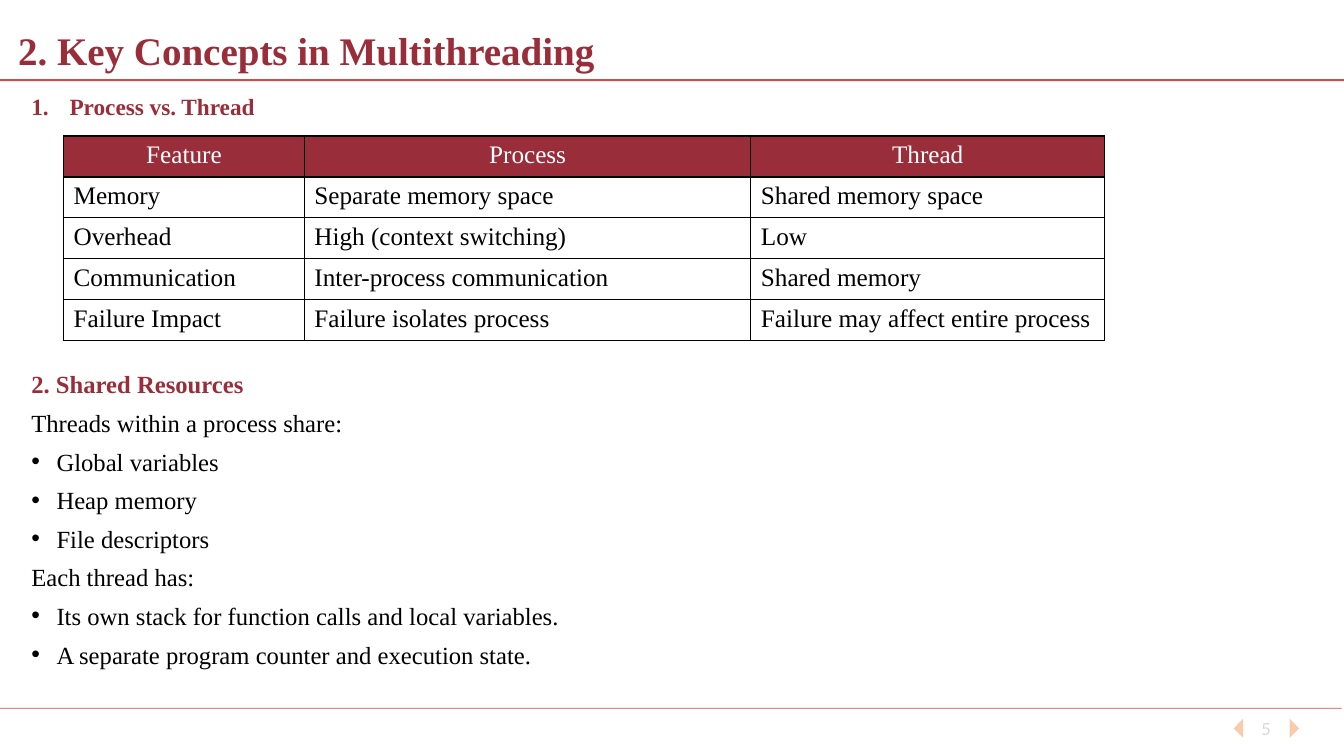
from lxml import etree
from pptx import Presentation, util as u
from pptx.dml.color import RGBColor
from pptx.enum import shapes, text
from pptx.oxml import ns

WIDTH, HEIGHT = u.Inches(13.333), u.Inches(7.5)
MAROON = RGBColor(0x99, 0x2E, 0x3A)
RED = RGBColor(0xC0, 0x00, 0x00)
PEACH = RGBColor(0xF8, 0xCB, 0xAD)
GREY = RGBColor(0xD9, 0xD9, 0xD9)
BLACK = RGBColor(0x00, 0x00, 0x00)
WHITE = RGBColor(0xFF, 0xFF, 0xFF)
SERIF = "Times New Roman"

COLUMN_SHARES = (17.92, 33.22, 26.33)
ROW_SHARE = 5.41
FEATURES = (
    ("Feature", "Process", "Thread"),
    ("Memory", "Separate memory space", "Shared memory space"),
    ("Overhead", "High (context switching)", "Low"),
    ("Communication", "Inter-process communication", "Shared memory"),
    ("Failure Impact", "Failure isolates process", "Failure may affect entire process"),
)
# Kind and wording of each body paragraph
BODY = (
    ("numbered", "Process vs. Thread"),
    ("heading", "2. Shared Resources"),
    ("plain", "Threads within a process share:"),
    ("bullet", "Global variables"),
    ("bullet", "Heap memory"),
    ("bullet", "File descriptors"),
    ("plain", "Each thread has:"),
    ("bullet", "Its own stack for function calls and local variables."),
    ("bullet", "A separate program counter and execution state."),
)
HANGING = {"numbered": 0.38, "bullet": 0.25}
TABLE_GAP = 182  # points kept free for the table above the second heading


def across(percent):
    return round(WIDTH * percent / 100)


def down(percent):
    return round(HEIGHT * percent / 100)


def place(shape, left, top, width, height):
    """Set a shape's box in percent of the slide's size."""
    shape.left, shape.top = across(left), down(top)
    shape.width, shape.height = across(width), down(height)


def add_element(parent, tag, **attributes):
    return etree.SubElement(parent, ns.qn(tag), attributes)


def set_font(paragraph, size, color, bold=False, name=SERIF):
    font = paragraph.font
    font.name, font.size, font.bold = name, u.Pt(size), bold
    font.color.rgb = color


def set_list_mark(paragraph, kind):
    properties = paragraph._p.get_or_add_pPr()
    hanging = u.Inches(HANGING.get(kind, 0))
    properties.set("marL", str(hanging))
    properties.set("indent", str(-hanging))
    if kind == "numbered":
        mark = add_element(properties, "a:buAutoNum", type="arabicPeriod")
    elif kind == "bullet":
        font = add_element(properties, "a:buFont", typeface="Arial")
        mark = add_element(properties, "a:buChar", char="•")
        font.addnext(mark)
    else:
        add_element(properties, "a:buNone")


def fill_title(title):
    place(title, 0.6, 3.07, 91.35, 7.73)
    frame = title.text_frame
    frame.text = "2. Key Concepts in Multithreading"
    frame.auto_size = text.MSO_AUTO_SIZE.NONE
    frame.vertical_anchor = text.MSO_ANCHOR.MIDDLE
    paragraph = frame.paragraphs[0]
    paragraph.alignment = text.PP_ALIGN.LEFT
    paragraph.line_spacing = 0.9
    set_font(paragraph, 27.9, MAROON, bold=True)


def fill_body(body):
    place(body, 1.58, 12.27, 96.53, 79.6)
    frame = body.text_frame
    frame.text = "\n".join(wording for kind, wording in BODY)
    frame.auto_size = text.MSO_AUTO_SIZE.NONE
    frame.vertical_anchor = text.MSO_ANCHOR.TOP
    space_before = {"numbered": 0, "heading": TABLE_GAP}
    for paragraph, (kind, wording) in zip(frame.paragraphs, BODY):
        paragraph.line_spacing = 0.8
        paragraph.space_before = u.Pt(space_before.get(kind, 10.7))
        set_list_mark(paragraph, kind)
        heading = kind in ("numbered", "heading")
        size = 16.6 if kind == "numbered" else 17.6
        set_font(paragraph, size, MAROON if heading else BLACK, bold=heading)


def add_borders(cell):
    properties = cell._tc.get_or_add_tcPr()
    for side in ("a:lnL", "a:lnR", "a:lnT", "a:lnB"):
        border = add_element(properties, side, w=str(u.Pt(1)))
        add_element(add_element(border, "a:solidFill"), "a:srgbClr", val=str(BLACK))


def add_feature_table(slide):
    table = slide.shapes.add_table(
        len(FEATURES), len(COLUMN_SHARES), across(4.73), down(18),
        across(sum(COLUMN_SHARES)), down(ROW_SHARE * len(FEATURES))).table
    table.first_row = table.horz_banding = False
    for column, share in zip(table.columns, COLUMN_SHARES):
        column.width = across(share)
    for row_number, (row, wordings) in enumerate(zip(table.rows, FEATURES)):
        row.height = down(ROW_SHARE)
        header = row_number == 0
        for cell, wording in zip(row.cells, wordings):
            cell.text = wording
            add_borders(cell)
            paragraph = cell.text_frame.paragraphs[0]
            set_font(paragraph, 18, WHITE if header else BLACK)
            if header:
                paragraph.alignment = text.PP_ALIGN.CENTER
                cell.fill.solid()
                cell.fill.fore_color.rgb = MAROON
            else:
                cell.fill.background()


def add_rule(slide, top, right, weight):
    """Draw a translucent red line from the slide's left edge."""
    rule = slide.shapes.add_connector(
        shapes.MSO_CONNECTOR.STRAIGHT, 0, down(top), across(right), down(top))
    rule.line.width = u.Pt(weight)
    rule.line.color.rgb = RED
    properties = rule._element.spPr
    color = properties.find(".//" + ns.qn("a:srgbClr"))
    add_element(color, "a:alpha", val="70000")
    add_element(properties, "a:effectLst")


def add_pager_arrow(slide, base, tip):
    builder = slide.shapes.build_freeform(across(base), down(95.05))
    builder.add_line_segments([(across(tip), down(96.35)), (across(base), down(97.6))])
    arrow = builder.convert_to_shape()
    arrow.shadow.inherit = False
    arrow.fill.solid()
    arrow.fill.fore_color.rgb = PEACH
    arrow.line.fill.background()


def add_page_number(slide, number):
    box = slide.shapes.add_textbox(across(92.1), down(93.7), across(4.2), down(5.4))
    frame = box.text_frame
    frame.word_wrap = True
    frame.vertical_anchor = text.MSO_ANCHOR.MIDDLE
    frame.text = number
    paragraph = frame.paragraphs[0]
    paragraph.alignment = text.PP_ALIGN.CENTER
    set_font(paragraph, 12, GREY, name="Lato")


def main():
    presentation = Presentation()
    presentation.slide_width, presentation.slide_height = WIDTH, HEIGHT
    slide = presentation.slides.add_slide(presentation.slide_layouts[1])
    add_page_number(slide, "5")
    add_pager_arrow(slide, base=95.95, tip=96.65)
    add_pager_arrow(slide, base=92.5, tip=91.8)
    add_rule(slide, top=93.7, right=99.83, weight=0.5)
    add_rule(slide, top=10.6, right=100, weight=1.5)
    fill_body(slide.placeholders[1])
    fill_title(slide.shapes.title)
    add_feature_table(slide)
    presentation.save("out.pptx")


if __name__ == "__main__":
    main()
